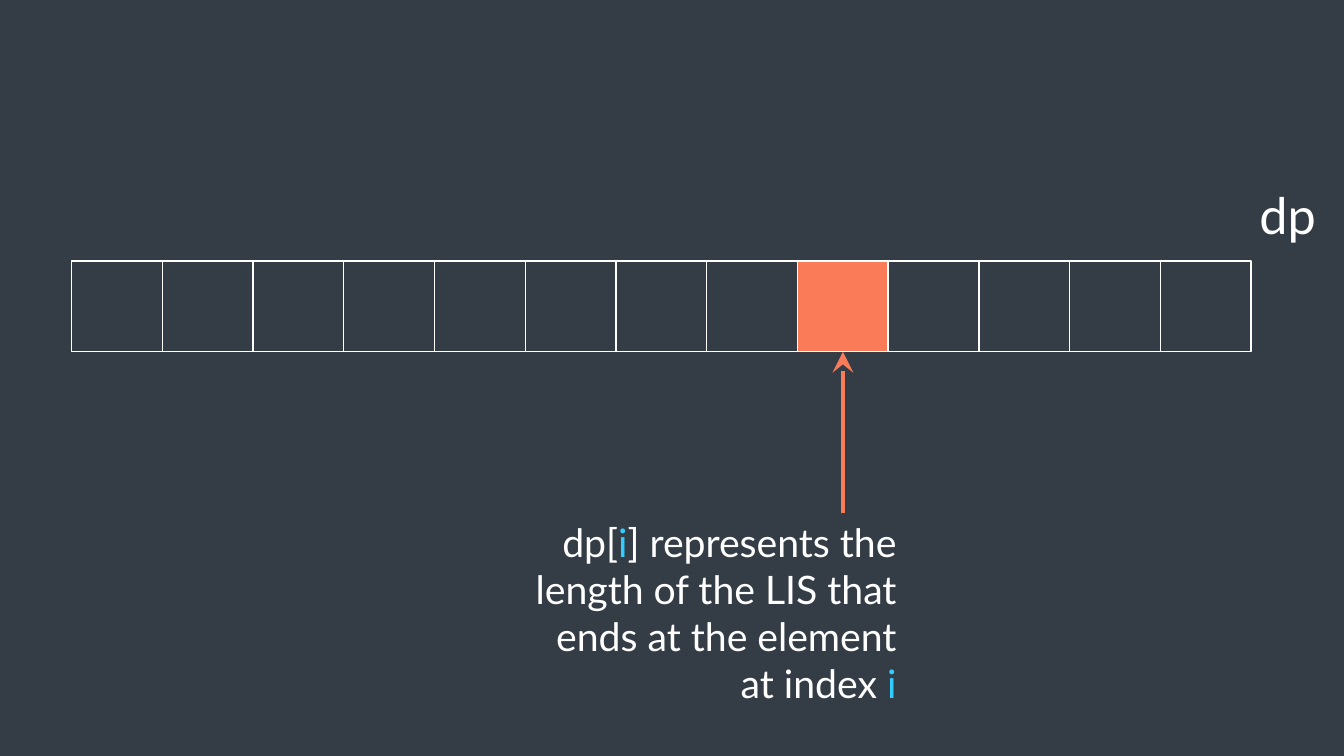
from lxml.etree import SubElement
from pptx import Presentation
from pptx.dml.color import RGBColor
from pptx.enum.shapes import MSO_CONNECTOR, MSO_SHAPE
from pptx.enum.text import MSO_AUTO_SIZE, PP_ALIGN
from pptx.oxml.ns import qn
from pptx.util import Emu, Pt

SCALE = 9144
COLORS = {"slate": "343D46", "white": "FFFFFF", "coral": "F97B57", "sky": "33CCFF"}
COUNT = 13
INDEX = 8
LEFT, TOP, SIDE = 71, 259, 90


def px(size):
    return Emu(size * SCALE)


def color(name):
    return RGBColor.from_string(COLORS[name])


def add_cell(slide, left, fill):
    cell = slide.shapes.add_shape(
        MSO_SHAPE.RECTANGLE, px(left), px(TOP), px(SIDE), px(SIDE))
    cell.shadow.inherit = False
    cell.fill.solid()
    cell.fill.fore_color.rgb = color(fill)
    cell.line.color.rgb = color("white")
    cell.line.width = Pt(1)
    return cell


def add_label(slide, box, size, align, parts):
    label = slide.shapes.add_textbox(*map(px, box))
    frame = label.text_frame
    frame.word_wrap = True
    frame.auto_size = MSO_AUTO_SIZE.SHAPE_TO_FIT_TEXT
    para = frame.paragraphs[0]
    para.alignment = align
    para.font.name = "Lato"
    para.font.size = Pt(size)
    for text, tint in parts:
        run = para.add_run()
        run.text = text
        run.font.color.rgb = color(tint)


def add_arrow(slide, start, cell):
    mid = LEFT + INDEX * SIDE + SIDE // 2
    arrow = slide.shapes.add_connector(
        MSO_CONNECTOR.STRAIGHT, px(mid), px(start), px(mid), px(TOP + SIDE))
    arrow.end_connect(cell, 2)
    arrow.line.color.rgb = color("coral")
    arrow.line.width = Pt(3)
    props = arrow._element.spPr
    line = props.find(qn("a:ln"))
    SubElement(line, qn("a:tailEnd"), type="stealth", w="lg", len="lg")
    SubElement(props, qn("a:effectLst"))


def main():
    deck = Presentation()
    deck.slide_width, deck.slide_height = px(1333), px(750)
    slide = deck.slides.add_slide(deck.slide_layouts[6])
    back = slide.background.fill
    back.solid()
    back.fore_color.rgb = color("slate")

    cells = [add_cell(slide, LEFT + i * SIDE, "coral" if i == INDEX else "slate")
             for i in range(COUNT)]
    add_label(slide, (1221, 178, 112, 71), 36, PP_ALIGN.CENTER, [("dp", "white")])
    add_label(slide, (502, 509, 397, 199), 28, PP_ALIGN.RIGHT, [
        ("dp[", "white"),
        ("i", "sky"),
        ("] represents the length of the LIS that ends at the element at index ", "white"),
        ("i", "sky"),
    ])
    add_arrow(slide, 509, cells[INDEX])
    deck.save("out.pptx")


if __name__ == "__main__":
    main()
